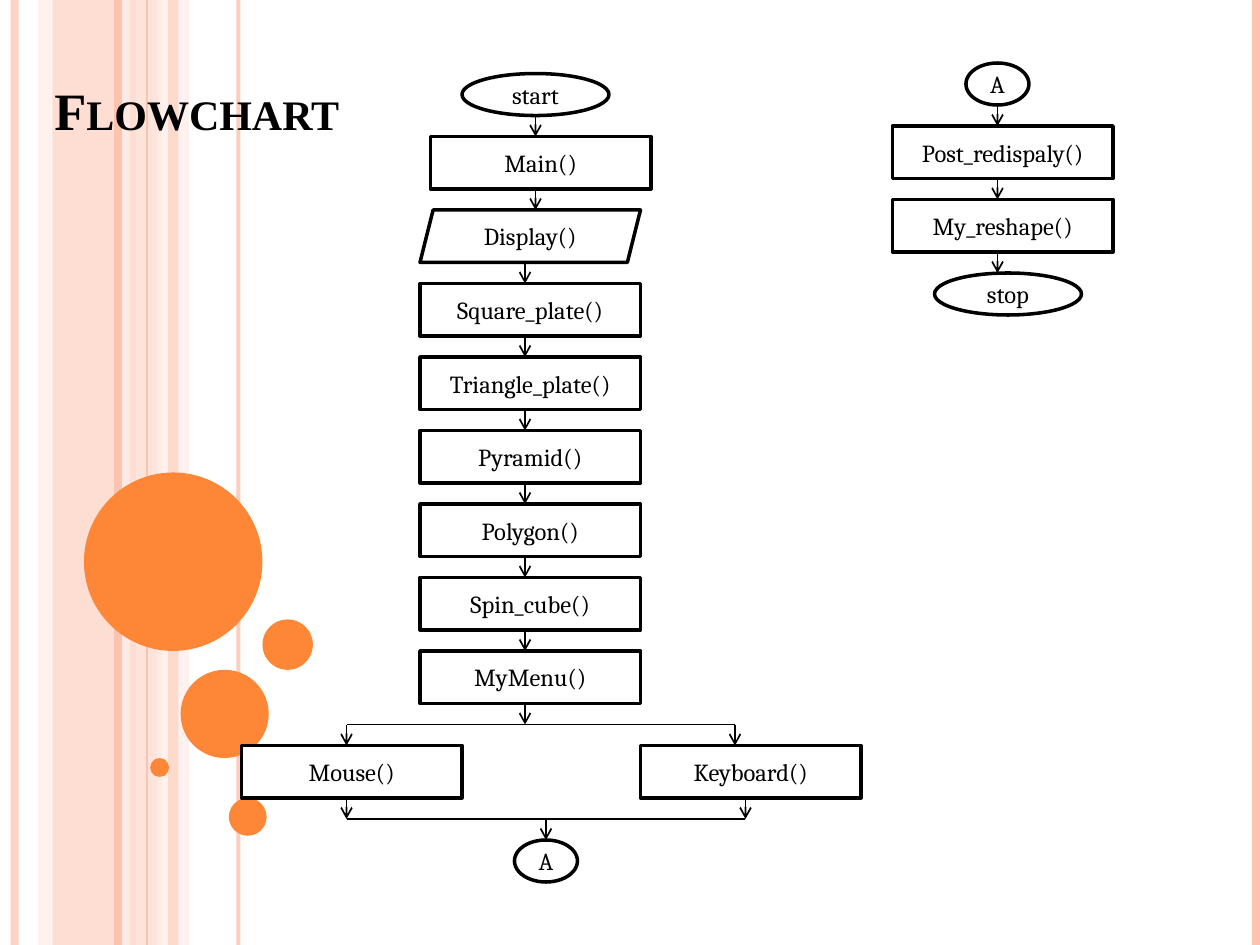
from dataclasses import dataclass
from itertools import pairwise

from lxml import etree
from pptx import Presentation
from pptx import util as u
from pptx.dml import color
from pptx.enum import shapes, text
from pptx.oxml import ns

PX = 7620  # EMU per px: 120 px to the inch
WIDTH, HEIGHT = 1200, 900
BOX_W, BOX_H, PITCH = 210, 50, 70
OVAL_H = 40
KIND = shapes.MSO_SHAPE


@dataclass(frozen=True)
class Theme:
    ink: str = "000000"
    paper: str = "FFFFFF"
    peach: str = "FEC3AE"
    blush: str = "FFD9CE"
    mist: str = "FFEDE8"
    orange: str = "FE8637"
    title_font: str = "Times New Roman"
    node_font: str = "Cambria"
    title_size: int = 30
    node_size: int = 14
    outline: float = 2
    arrow: float = 1


@dataclass(frozen=True)
class Band:
    left: int
    width: int
    tint: str
    alpha: int


@dataclass(frozen=True)
class Stripe:
    x: int
    points: float
    tint: str
    alpha: int = 100


@dataclass(frozen=True)
class Circle:
    left: int
    top: int
    size: int


@dataclass(frozen=True)
class Node:
    label: str
    left: int
    top: int
    width: int = BOX_W
    height: int = BOX_H
    kind: shapes.MSO_SHAPE = KIND.RECTANGLE

    @property
    def bottom(self) -> int:
        return self.top + self.height


THEME = Theme()


def oval(label: str, left: int, top: int, width: int) -> Node:
    return Node(label, left, top, width, OVAL_H, KIND.OVAL)


def paint(fill, tint: str, alpha: int = 100) -> None:
    fill.solid()
    fill.fore_color.rgb = color.RGBColor.from_string(tint)
    if alpha < 100:
        for clr in fill._xPr.iter(ns.qn("a:srgbClr")):
            etree.SubElement(clr, ns.qn("a:alpha"), val=str(alpha * 1000))


def add_shape(page, kind, left: int, top: int, width: int, height: int, tint: str, alpha: int = 100):
    shape = page.shapes.add_shape(kind, left * PX, top * PX, width * PX, height * PX)
    shape.shadow.inherit = False
    paint(shape.fill, tint, alpha)
    shape.line.fill.background()
    return shape


def add_line(page, start: tuple[int, int], end: tuple[int, int], points: float,
             tint: str, alpha: int = 100, arrow: bool = False) -> None:
    line = page.shapes.add_connector(
        shapes.MSO_CONNECTOR.STRAIGHT, *(value * PX for value in (*start, *end)))
    line.line.width = u.Pt(points)
    paint(line.line.fill, tint, alpha)
    properties = line._element.spPr
    if arrow:
        etree.SubElement(properties.find(ns.qn("a:ln")), ns.qn("a:tailEnd"), type="arrow")
    etree.SubElement(properties, ns.qn("a:effectLst"))


def add_arrow(page, x: int, top: int, bottom: int) -> None:
    add_line(page, (x, top), (x, bottom), THEME.arrow, THEME.ink, arrow=True)


def write(para, words: str, font: str, size: int):
    span = para.add_run()
    span.text = words
    span.font.name = font
    span.font.size = u.Pt(size)
    span.font.color.rgb = color.RGBColor.from_string(THEME.ink)
    return span


def add_node(page, node: Node) -> None:
    box = add_shape(page, node.kind, node.left, node.top, node.width, node.height, THEME.paper)
    paint(box.line.fill, THEME.ink)
    box.line.width = u.Pt(THEME.outline)
    box.text_frame.vertical_anchor = text.MSO_ANCHOR.MIDDLE
    para = box.text_frame.paragraphs[0]
    para.alignment = text.PP_ALIGN.CENTER
    write(para, node.label, THEME.node_font, THEME.node_size)


def add_title(page, words: str) -> None:
    box = page.shapes.add_textbox(40 * PX, 20 * PX, 1070 * PX, 120 * PX)
    box.text_frame.word_wrap = True
    box.text_frame.vertical_anchor = text.MSO_ANCHOR.BOTTOM
    span = write(box.text_frame.paragraphs[0], words, THEME.title_font, THEME.title_size)
    span.font.bold = True
    span.font._element.set("cap", "small")


# Background decoration
BANDS = [Band(50, 80, THEME.peach, 54), Band(36, 13, THEME.blush, 36),
         Band(130, 24, THEME.blush, 70), Band(150, 30, THEME.mist, 71)]
FRONT_BAND = Band(160, 10, THEME.peach, 51)
STRIPES = [Stripe(14, 4.5, THEME.peach, 73), Stripe(120, 4.5, THEME.mist, 83),
           Stripe(112, 4.5, THEME.peach), Stripe(227, 2.25, THEME.peach, 82),
           Stripe(140, 0.75, THEME.peach), Stripe(1196, 4.5, THEME.peach)]
CIRCLES = [Circle(80, 450, 170), Circle(172, 638, 84), Circle(143, 722, 18),
           Circle(218, 760, 36), Circle(250, 590, 48)]

# Flow nodes
STEPS = ["Square_plate()", "Triangle_plate()", "Pyramid()", "Polygon()", "Spin_cube()", "MyMenu()"]
MAIN_FLOW = [oval("start", 440, 70, 140), Node("Main()", 410, 130),
             Node("Display()", 400, 200, kind=KIND.PARALLELOGRAM)]
MAIN_FLOW += [Node(label, 400, 270 + row * PITCH) for row, label in enumerate(STEPS)]
BRANCHES = [Node("Mouse()", 230, 710), Node("Keyboard()", 610, 710)]
LINK = oval("A", 490, 800, 60)
END_FLOW = [oval("A", 920, 60, 60), Node("Post_redispaly()", 850, 120),
            Node("My_reshape()", 850, 190), oval("stop", 890, 260, 140)]
SPLIT_Y, JOIN_Y = 690, 780
SPLIT_XS, JOIN_XS = (330, 700), (330, 710)


def add_background(page) -> None:
    def add_band(band: Band) -> None:
        add_shape(page, KIND.RECTANGLE, band.left, 0, band.width, HEIGHT, band.tint, band.alpha)

    for band in BANDS:
        add_band(band)
    for stripe in STRIPES:
        add_line(page, (stripe.x, 0), (stripe.x, HEIGHT), stripe.points, stripe.tint, stripe.alpha)
    add_band(FRONT_BAND)
    for circle in CIRCLES:
        add_shape(page, KIND.OVAL, circle.left, circle.top, circle.size, circle.size, THEME.orange)


def add_flowchart(page) -> None:
    for node in [*MAIN_FLOW, *BRANCHES, LINK, *END_FLOW]:
        add_node(page, node)
    # Arrows down each column
    for row, (upper, lower) in enumerate(pairwise(MAIN_FLOW)):
        add_arrow(page, 510 if row < 2 else 500, upper.bottom, lower.top)
    for upper, lower in pairwise(END_FLOW):
        add_arrow(page, 950, upper.bottom, lower.top)
    # Split into the two branches and join again
    for xs, y in ((SPLIT_XS, SPLIT_Y), (JOIN_XS, JOIN_Y)):
        add_line(page, (xs[0], y), (xs[1], y), THEME.arrow, THEME.ink)
    add_arrow(page, 500, MAIN_FLOW[-1].bottom, SPLIT_Y)
    for node, split_x, join_x in zip(BRANCHES, SPLIT_XS, JOIN_XS):
        add_arrow(page, split_x, SPLIT_Y, node.top)
        add_arrow(page, join_x, node.bottom, JOIN_Y)
    add_arrow(page, 520, JOIN_Y, LINK.top)


def main() -> None:
    deck = Presentation()
    deck.slide_width, deck.slide_height = WIDTH * PX, HEIGHT * PX
    page = deck.slides.add_slide(deck.slide_layouts[6])
    add_background(page)
    add_title(page, "Flowchart")
    add_flowchart(page)
    deck.save("out.pptx")


if __name__ == "__main__":
    main()
